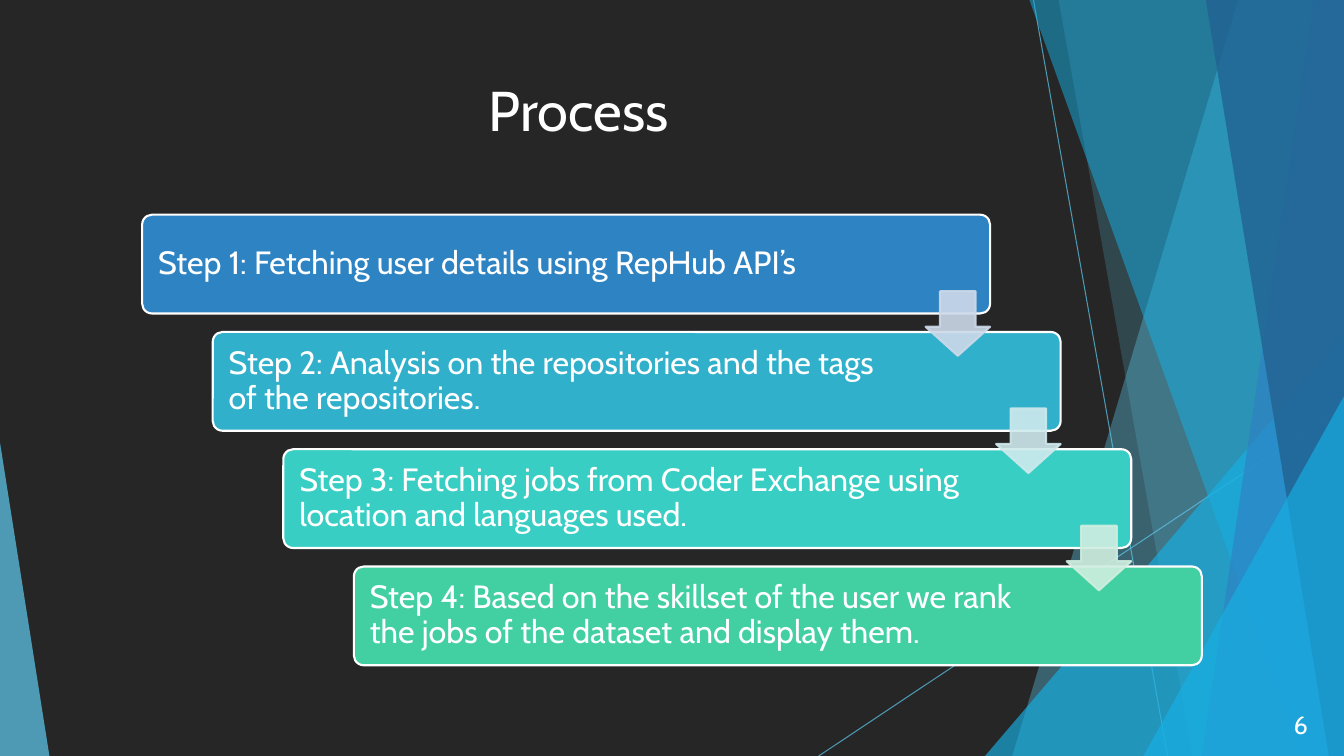
"""Build the Process slide: four cascading steps over a faceted backdrop."""
from lxml.etree import SubElement
from pptx import Presentation
from pptx.dml.color import RGBColor
from pptx.enum.shapes import MSO_CONNECTOR as CONN, MSO_SHAPE as SHAPE
from pptx.enum.text import MSO_ANCHOR as ANCHOR, MSO_AUTO_SIZE as AUTO, PP_ALIGN as ALIGN
from pptx.oxml.ns import qn
from pptx.util import Inches, Pt

TITLE, NUMBER = "Process", "6"
STEPS = [
    ("Step 1: Fetching user details using RepHub API’s", "2E83C3"),
    ("Step 2: Analysis on the repositories and the tags of the repositories.", "31B0CB"),
    ("Step 3: Fetching jobs from Coder Exchange using location and languages used.", "39CEC4"),
    ("Step 4: Based on the skillset of the user we rank the jobs of the dataset and display them.", "42D0A2"),
]
ARROWS = ["CDD9E9", "CEE9EC", "CFEEE0"]

COLS, ROWS = 13.33, 7.5
RAYS = [((10.25, 0), (11.58, ROWS)), ((COLS, 4.03), (8.12, ROWS))]
FACETS = [
    ("band", 12.28, 10.04, "5FCBEF", 36),
    ("band", 10.5, 11.83, "5FCBEF", 20),
    ("right", 3.56, 4.17, "17B0E4", 66),
    ("band", 10.21, 12.91, "17B0E4", 50),
    ("band", 13.03, 11.92, "2E83C3", 70),
    ("band", 11.96, 13.18, "226292", 80),
    ("right", 1.99, 3.57, "17B0E4", 66),
    ("left", 0.49, 3.11, "5FCBEF", 70),
]
CARD_W, CARD_H, ARROW = 8.41, 0.98, 0.64
LEFT, TOP, LAST_TOP = 1.41, 2.13, 5.62
STEP_X, STEP_Y = 0.7, (LAST_TOP - TOP) / (len(STEPS) - 1)
ARROW_DROP = 0.76
CARD_FRAME = {"margin_left": Inches(0.13), "margin_right": Inches(1.47),
              "margin_top": Inches(0.1), "margin_bottom": Inches(0.1),
              "vertical_anchor": ANCHOR.MIDDLE, "word_wrap": True}
TITLE_FRAME = {"vertical_anchor": ANCHOR.TOP, "word_wrap": True, "auto_size": AUTO.NONE}
NUMBER_FRAME = {"vertical_anchor": ANCHOR.MIDDLE, "word_wrap": True}


def rgb(code):
    return RGBColor.from_string(code)


def box(*sizes):
    return [Inches(v) for v in sizes]


def fade(sp, percent):
    for c in list(sp._element.spPr.iter(qn("a:srgbClr"))):
        SubElement(c, qn("a:alpha")).set("val", str(percent * 1000))


def paint(sp, color, line=None, alpha=None):
    sp.shadow.inherit = False
    sp.fill.solid()
    sp.fill.fore_color.rgb = rgb(color)
    if line:
        sp.line.color.rgb = rgb(line)
        sp.line.width = Pt(1.5)
    else:
        sp.line.fill.background()
    if alpha:
        fade(sp, alpha)


def write(sp, text, size, align, frame, spacing=None):
    tf = sp.text_frame
    for name, value in frame.items():
        setattr(tf, name, value)
    p = tf.paragraphs[0]
    p.alignment, p.line_spacing = align, spacing
    r = p.add_run()
    r.text = text
    for name, value in {"name": "Cabin", "size": Pt(size), "bold": False}.items():
        setattr(r.font, name, value)
    r.font.color.rgb = rgb("FFFFFF")


def add_rays(s):
    for start, end in RAYS:
        ray = s.shapes.add_connector(CONN.STRAIGHT, *box(*start, *end))
        ray.line.color.rgb = rgb("5FCBEF")
        ray.line.width = Pt(0.75)
        SubElement(ray._element.spPr, qn("a:effectLst"))
        fade(ray, 70)


def add_facets(s):
    for kind, a, b, color, alpha in FACETS:
        if kind == "band":
            fb = s.shapes.build_freeform(*box(a, 0), scale=1.0)
            fb.add_line_segments([box(COLS, 0), box(COLS, ROWS), box(b, ROWS)], close=True)
            sp = fb.convert_to_shape()
        else:
            x = COLS - a if kind == "right" else 0
            sp = s.shapes.add_shape(SHAPE.ISOSCELES_TRIANGLE, *box(x, ROWS - b, a, b))
            sp.adjustments[0] = 1 if kind == "right" else 0
        paint(sp, color, alpha=alpha)


def add_steps(s):
    spots = [(LEFT + i * STEP_X, TOP + i * STEP_Y) for i in range(len(STEPS))]
    for (x, y), (text, color) in zip(spots, STEPS):
        sp = s.shapes.add_shape(SHAPE.ROUNDED_RECTANGLE, *box(x, y, CARD_W, CARD_H))
        sp.adjustments[0] = 0.1
        paint(sp, color, "FFFFFF")
        write(sp, text, 23, ALIGN.LEFT, CARD_FRAME, 0.9)
    for (x, y), color in zip(spots, ARROWS):
        sp = s.shapes.add_shape(SHAPE.DOWN_ARROW,
                                *box(x + CARD_W - ARROW, y + ARROW_DROP, ARROW, ARROW))
        sp.adjustments[0], sp.adjustments[1] = 0.45, 0.55
        sp.adjustments[0], sp.adjustments[1] = sp.adjustments[1], sp.adjustments[0]
        paint(sp, color, color, 90)


def main():
    prs = Presentation()
    prs.slide_width, prs.slide_height = box(COLS, ROWS)
    s = prs.slides.add_slide(prs.slide_layouts[5])
    s.background.fill.solid()
    s.background.fill.fore_color.rgb = rgb("262626")
    add_rays(s)
    add_facets(s)
    add_steps(s)
    title = s.shapes.title
    title.left, title.top, title.width, title.height = box(1.27, 0.7, 8.94, 0.77)
    write(title, TITLE, 40, ALIGN.CENTER, TITLE_FRAME)
    number = s.shapes.add_textbox(*box(12.36, 6.99, 0.71, 0.4))
    write(number, NUMBER, 18, ALIGN.RIGHT, NUMBER_FRAME)
    prs.save("out.pptx")


if __name__ == "__main__":
    main()
